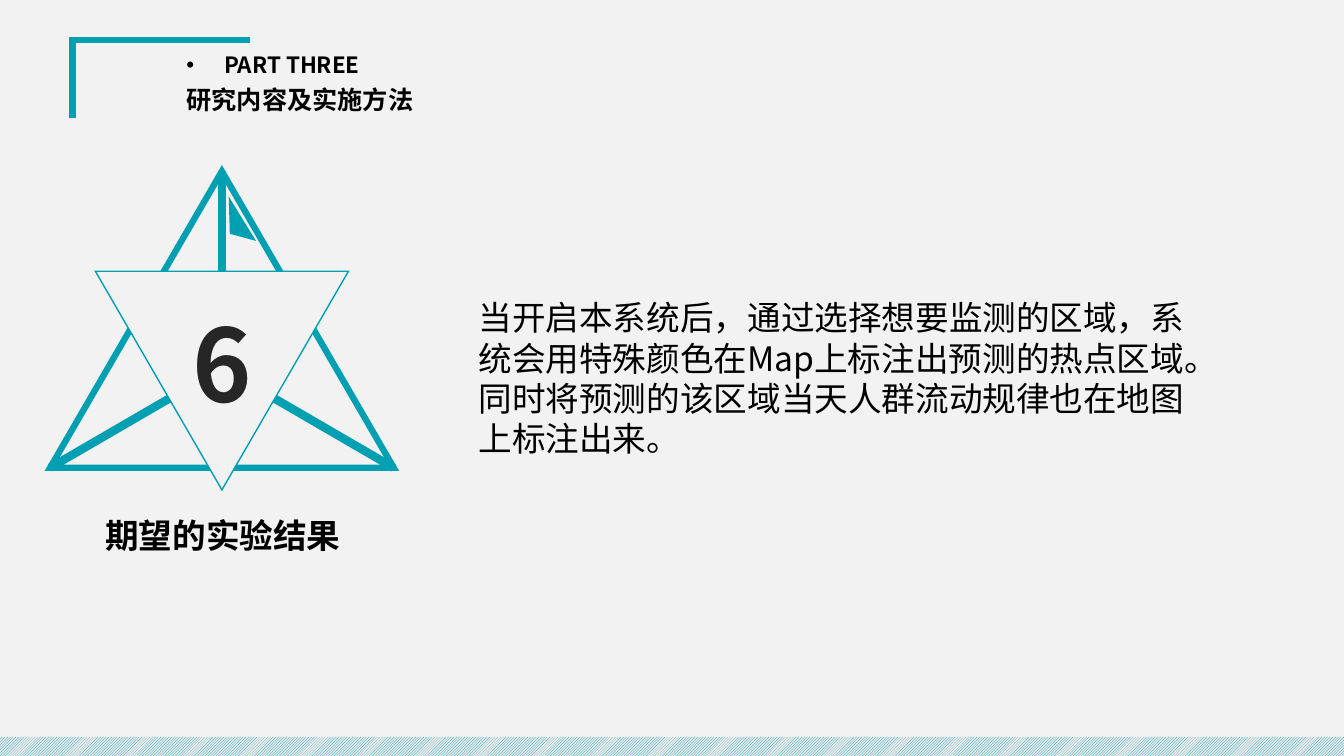
from dataclasses import dataclass

from lxml.etree import SubElement
from pptx import Presentation
from pptx.dml.color import RGBColor
from pptx.enum.dml import MSO_PATTERN
from pptx.enum.shapes import MSO_CONNECTOR, MSO_SHAPE
from pptx.enum.text import MSO_ANCHOR, MSO_AUTO_SIZE, PP_ALIGN
from pptx.oxml.ns import qn
from pptx.util import Pt


@dataclass(frozen=True)
class Theme:
    font: str = "Noto Sans CJK SC"
    paper: RGBColor = RGBColor(0xF2, 0xF2, 0xF2)
    teal: RGBColor = RGBColor(0x00, 0x9F, 0xB1)
    stripe: RGBColor = RGBColor(0xE9, 0xE9, 0xE9)
    ink: RGBColor = RGBColor(0, 0, 0)
    digit_ink: RGBColor = RGBColor(0x26, 0x26, 0x26)
    part_size: float = 16
    heading_size: float = 18
    text_size: float = 24
    digit_size: float = 72
    leading: float = 1.2
    heading_leading: float = 0.9


@dataclass(frozen=True)
class Box:
    left: float
    top: float
    width: float
    height: float

    def lengths(self):
        return Pt(self.left), Pt(self.top), Pt(self.width), Pt(self.height)


@dataclass(frozen=True)
class Triangle:
    box: Box
    line_width: float
    rotation: float


@dataclass(frozen=True)
class Caption:
    text: str
    box: Box
    size: float
    color: RGBColor
    bold: bool
    align: PP_ALIGN
    wrap: bool


THEME = Theme()
SLIDE = Box(0, 0, 960, 540)
CENTER = 158.5
HUB = (CENTER, 262.8)
APEX = (CENTER, 122.4)
BASE_Y = 334.1
HALF_BASE = 122.7
CORNERS = [APEX, (CENTER - HALF_BASE, BASE_Y), (CENTER + HALF_BASE, BASE_Y)]
OUTER = Triangle(
    Box(CENTER - HALF_BASE, APEX[1], 2 * HALF_BASE, BASE_Y - APEX[1]), 4.5, 0)
INNER = Triangle(Box(CENTER - 90.4, 193.7, 180.8, 156.2), 1, 180)
BRACKET = [(51.8, 84.2), (51.8, 28.8), (178.6, 28.8)]
FLAG = [(164.2, 167), (182.9, 172.1), (163.4, 140.4)]
STRIPE = Box(0, 526.3, 960, 13.7)
PART = Caption("PART THREE", Box(126, 35.3, 192.2, 24.5), THEME.part_size,
               THEME.ink, True, PP_ALIGN.LEFT, True)
HEADING = Caption("研究内容及实施方法", Box(126, 56.2, 192.2, 31.7),
                  THEME.heading_size, THEME.ink, True, PP_ALIGN.LEFT, True)
CAPTIONS = [
    Caption("6", Box(CENTER - 29.5, 212, 59, 94.3), THEME.digit_size,
            THEME.digit_ink, True, PP_ALIGN.CENTER, False),
    Caption("期望的实验结果", Box(67, 364.3, 184.3, 36), THEME.text_size,
            THEME.ink, True, PP_ALIGN.CENTER, False),
    Caption("当开启本系统后，通过选择想要监测的区域，系统会用特殊颜色在Map上标注出"
            "预测的热点区域。同时将预测的该区域当天人群流动规律也在地图上标注出来。",
            Box(334.8, 208.8, 540, 123.8), THEME.text_size,
            THEME.ink, False, PP_ALIGN.LEFT, True),
]


def style_line(shape, width: float) -> None:
    shape.line.color.rgb = THEME.teal
    shape.line.width = Pt(width)
    SubElement(shape.line._get_or_add_ln(), qn("a:miter"), lim="800000")


def write(shape, caption: Caption, spacing) -> None:
    frame = shape.text_frame
    frame.text = caption.text
    frame.word_wrap = caption.wrap
    frame.auto_size = MSO_AUTO_SIZE.NONE
    paragraph = frame.paragraphs[0]
    paragraph.alignment = caption.align
    paragraph.line_spacing = spacing
    paragraph.space_before = Pt(0)
    font = paragraph.font
    font.size = Pt(caption.size)
    font.bold = caption.bold
    font.color.rgb = caption.color
    font.name = THEME.font
    defaults = paragraph._p.pPr.find(qn("a:defRPr"))
    SubElement(defaults, qn("a:ea"), typeface=THEME.font)


def fill_placeholder(holder, caption: Caption) -> None:
    holder.left, holder.top, holder.width, holder.height = caption.box.lengths()
    properties = holder.text_frame.paragraphs[0]._p.get_or_add_pPr()
    properties.set("marL", "0")
    properties.set("indent", "0")
    SubElement(properties, qn("a:buNone"))
    write(holder, caption, THEME.heading_leading)
    frame = holder.text_frame
    frame.vertical_anchor = MSO_ANCHOR.MIDDLE
    frame.margin_top = frame.margin_bottom = Pt(0)


def add_caption(slide, caption: Caption) -> None:
    label = slide.shapes.add_textbox(*caption.box.lengths())
    write(label, caption, Pt(caption.size * THEME.leading))


def add_triangle(slide, triangle: Triangle) -> None:
    shape = slide.shapes.add_shape(
        MSO_SHAPE.ISOSCELES_TRIANGLE, *triangle.box.lengths())
    shape.shadow.inherit = False
    shape.rotation = triangle.rotation
    shape.fill.solid()
    shape.fill.fore_color.rgb = THEME.paper
    style_line(shape, triangle.line_width)


def add_outline(slide, points: list[tuple[float, float]], closed: bool):
    start, *rest = [(Pt(x), Pt(y)) for x, y in points]
    builder = slide.shapes.build_freeform(*start)
    builder.add_line_segments(rest, close=closed)
    shape = builder.convert_to_shape()
    shape.shadow.inherit = False
    return shape


def add_spoke(slide, corner: tuple[float, float]) -> None:
    spoke = slide.shapes.add_connector(
        MSO_CONNECTOR.STRAIGHT, *(Pt(value) for value in corner + HUB))
    spoke.line.color.rgb = THEME.teal
    spoke.line.width = Pt(6)
    SubElement(spoke._element.spPr, qn("a:effectLst"))


def add_frame(slide) -> None:
    bracket = add_outline(slide, BRACKET, closed=False)
    bracket.fill.background()
    style_line(bracket, 4.5)
    stripe = slide.shapes.add_shape(MSO_SHAPE.RECTANGLE, *STRIPE.lengths())
    stripe.shadow.inherit = False
    stripe.fill.patterned()
    stripe.fill.pattern = MSO_PATTERN.LIGHT_UPWARD_DIAGONAL
    stripe.fill.fore_color.rgb = THEME.teal
    stripe.fill.back_color.rgb = THEME.stripe
    stripe.line.fill.background()


def add_emblem(slide) -> None:
    add_triangle(slide, OUTER)
    for corner in CORNERS:
        add_spoke(slide, corner)
    flag = add_outline(slide, FLAG, closed=True)
    flag.fill.solid()
    flag.fill.fore_color.rgb = THEME.teal
    flag.line.fill.background()
    add_triangle(slide, INNER)


def main() -> None:
    deck = Presentation()
    deck.slide_width, deck.slide_height = Pt(SLIDE.width), Pt(SLIDE.height)
    slide = deck.slides.add_slide(deck.slide_layouts[1])
    slide.background.fill.solid()
    slide.background.fill.fore_color.rgb = THEME.paper
    fill_placeholder(slide.shapes.title, HEADING)
    fill_placeholder(slide.placeholders[1], PART)
    add_frame(slide)
    add_emblem(slide)
    for caption in CAPTIONS:
        add_caption(slide, caption)
    deck.save("out.pptx")


if __name__ == "__main__":
    main()
